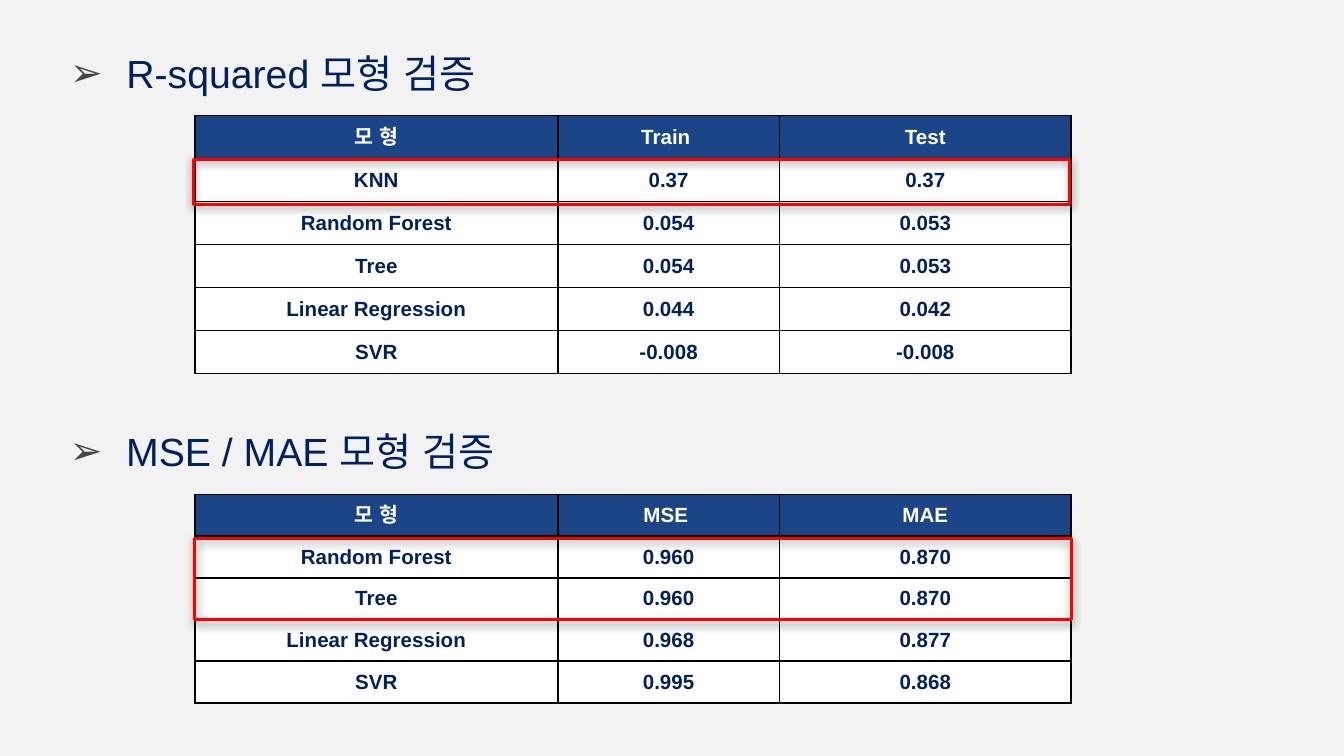
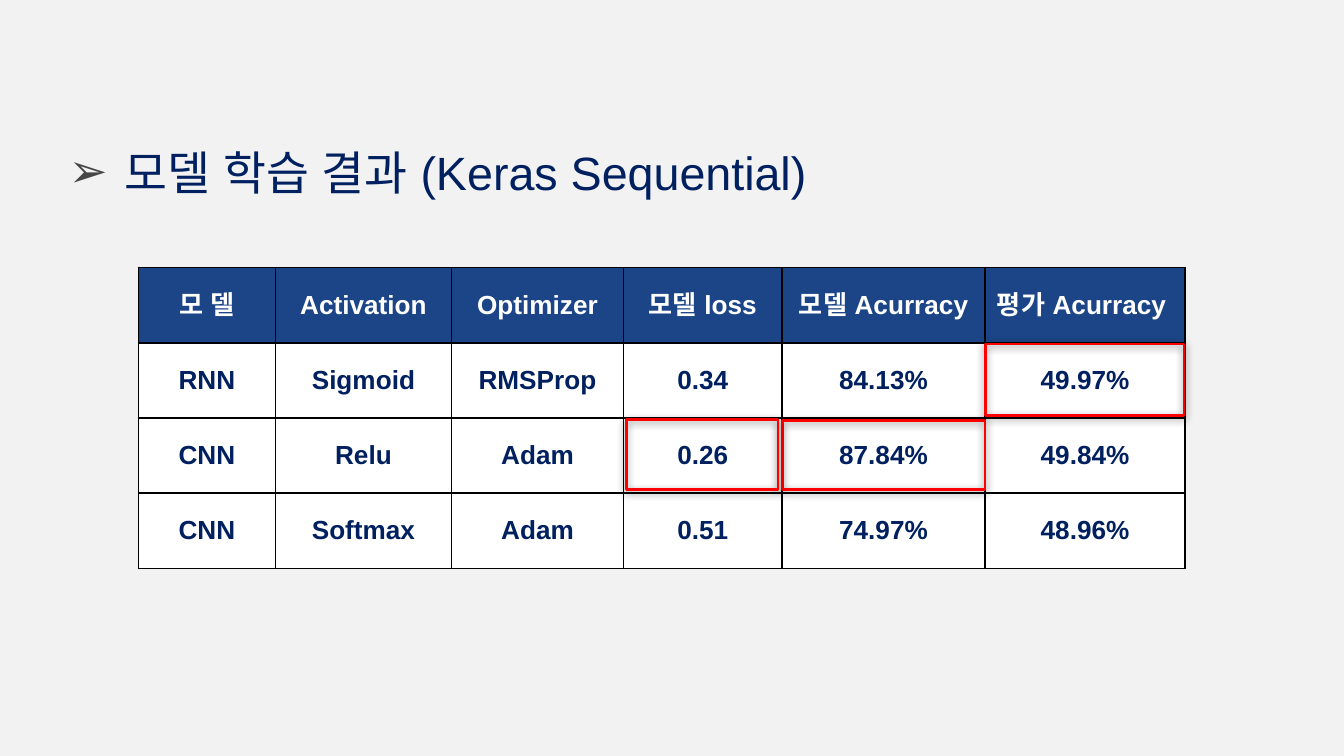
from dataclasses import dataclass

import pptx
import pptx.dml.color
import pptx.enum.shapes
import pptx.enum.text
import pptx.oxml
import pptx.oxml.ns
import pptx.util
from pptx.util import Inches

RGBColor = pptx.dml.color.RGBColor

# Shared style
FONT = "Arial"
GROUND = RGBColor(0xF2, 0xF2, 0xF2)
NAVY = RGBColor(0x00, 0x20, 0x60)
HEADER_BLUE = RGBColor(0x1C, 0x45, 0x87)
WHITE = RGBColor(0xFF, 0xFF, 0xFF)
BLACK = RGBColor(0x00, 0x00, 0x00)
BULLET_GREY = RGBColor(0x46, 0x46, 0x46)
RED = RGBColor(0xFF, 0x00, 0x00)

SLIDE_WIDTH = Inches(10)
SLIDE_HEIGHT = SLIDE_WIDTH * 9 // 16
HEADING_SIZE = (9.32, 0.66)
HEADING_INSET = Inches(0.1)
CELL_INSET = Inches(0.07)
NAMESPACE = pptx.oxml.ns.nsdecls("a")


@dataclass
class Heading:
    text: str
    left: float
    top: float
    size: int


@dataclass
class ResultTable:
    left: float
    top: float
    columns: list[float]
    row_height: float
    size: int
    rows: list[list[str]]


@dataclass
class Highlight:
    left: float
    top: float
    width: float
    height: float


def add_span(para, text: str, size: int, color: RGBColor, bold: bool = False) -> None:
    span = para.add_run()
    span.text = text
    span.font.name = FONT
    span.font.size = pptx.util.Pt(size)
    span.font.bold = bold
    span.font.color.rgb = color
    # Same typeface for the Korean text
    span._r.get_or_add_rPr().append(
        pptx.oxml.parse_xml(f'<a:ea {NAMESPACE} typeface="{FONT}"/>'))


def set_insets(target, inset: int) -> None:
    target.margin_left = target.margin_right = inset
    target.margin_top = target.margin_bottom = inset


def set_arrow_bullet(para) -> None:
    properties = para._p.get_or_add_pPr()
    properties.set("marL", str(Inches(0.5)))
    properties.set("indent", str(Inches(-0.42)))
    for markup in (
        f'<a:buClr {NAMESPACE}><a:srgbClr val="{BULLET_GREY}"/></a:buClr>',
        f'<a:buFont {NAMESPACE} typeface="{FONT}"/>',
        f'<a:buChar {NAMESPACE} char="➢"/>',
    ):
        properties.append(pptx.oxml.parse_xml(markup))


def fill_heading(box, heading: Heading) -> None:
    box.left, box.top = Inches(heading.left), Inches(heading.top)
    box.width, box.height = (Inches(side) for side in HEADING_SIZE)
    frame = box.text_frame
    frame.word_wrap = True
    frame.auto_size = pptx.enum.text.MSO_AUTO_SIZE.NONE
    frame.vertical_anchor = pptx.enum.text.MSO_ANCHOR.TOP
    set_insets(frame, HEADING_INSET)
    para = frame.paragraphs[0]
    para.alignment = pptx.enum.text.PP_ALIGN.LEFT
    set_arrow_bullet(para)
    add_span(para, heading.text, heading.size, NAVY)


def add_heading_box(page, heading: Heading) -> None:
    fill_heading(page.shapes.add_textbox(0, 0, 0, 0), heading)


def set_borders(cell) -> None:
    properties = cell._tc.get_or_add_tcPr()
    for side in ("lnL", "lnR", "lnT", "lnB"):
        properties.append(pptx.oxml.parse_xml(
            f'<a:{side} {NAMESPACE} w="{pptx.util.Pt(1)}"><a:solidFill>'
            f'<a:srgbClr val="{BLACK}"/></a:solidFill></a:{side}>'))


def add_result_table(page, result: ResultTable) -> None:
    row_count, column_count = len(result.rows), len(result.columns)
    table = page.shapes.add_table(
        row_count, column_count, Inches(result.left), Inches(result.top),
        Inches(sum(result.columns)), Inches(result.row_height * row_count)).table
    table.first_row = table.horz_banding = False
    for column, width in zip(table.columns, result.columns):
        column.width = Inches(width)
    for row_index, texts in enumerate(result.rows):
        table.rows[row_index].height = Inches(result.row_height)
        is_header = row_index == 0
        for column_index, text in enumerate(texts):
            cell = table.cell(row_index, column_index)
            set_borders(cell)
            cell.fill.solid()
            cell.fill.fore_color.rgb = HEADER_BLUE if is_header else WHITE
            set_insets(cell, CELL_INSET)
            cell.vertical_anchor = pptx.enum.text.MSO_ANCHOR.MIDDLE
            para = cell.text_frame.paragraphs[0]
            para.alignment = pptx.enum.text.PP_ALIGN.CENTER
            add_span(para, text, result.size, WHITE if is_header else NAVY, bold=True)


def add_highlight(page, mark: Highlight) -> None:
    frame = page.shapes.add_shape(
        pptx.enum.shapes.MSO_SHAPE.RECTANGLE, Inches(mark.left), Inches(mark.top),
        Inches(mark.width), Inches(mark.height))
    frame.fill.background()
    frame.line.color.rgb = RED
    frame.line.width = pptx.util.Pt(1.5)
    # Soft shadow straight below
    frame.shadow.inherit = False
    effects = frame._element.spPr.find(pptx.oxml.ns.qn("a:effectLst"))
    effects.append(pptx.oxml.parse_xml(
        f'<a:outerShdw {NAMESPACE} blurRad="{pptx.util.Pt(4.5)}" '
        f'dist="{pptx.util.Pt(1.5)}" dir="5400000" algn="bl" rotWithShape="0">'
        f'<a:srgbClr val="{BLACK}"><a:alpha val="50000"/></a:srgbClr></a:outerShdw>'))


def add_page(deck, title: Heading):
    page = deck.slides.add_slide(deck.slide_layouts.get_by_name("Title Only"))
    fill_heading(page.shapes.title, title)
    return page


# Slide content
SCORE_LEFT = 1.45
SCORE_COLUMNS = [2.7, 1.65, 2.17]
SCORE_WIDTH = sum(SCORE_COLUMNS)

R_SQUARED = ResultTable(SCORE_LEFT, 0.86, SCORE_COLUMNS, 0.32, 11, [
    ["모 형", "Train ", "Test"],
    ["KNN", "0.37", "0.37"],
    ["Random Forest", "0.054", "0.053"],
    ["Tree", "0.054", "0.053"],
    ["Linear Regression", "0.044", "0.042"],
    ["SVR", "-0.008", "-0.008"],
])

ERRORS = ResultTable(SCORE_LEFT, 3.68, SCORE_COLUMNS, 0.31, 11, [
    ["모 형", "MSE ", "MAE"],
    ["Random Forest", "0.960", "0.870"],
    ["Tree", "0.960", "0.870"],
    ["Linear Regression", "0.968", "0.877"],
    ["SVR", "0.995", "0.868"],
])

TRAINING = ResultTable(1.03, 1.99, [1.02, 1.31, 1.28, 1.18, 1.51, 1.49], 0.56, 14, [
    ["모 델", "Activation", "Optimizer", "모델 loss", "모델 Acurracy", "평가 Acurracy "],
    ["RNN", "Sigmoid", "RMSProp", "0.34", "84.13%", "49.97%"],
    ["CNN", "Relu", "Adam", "0.26", "87.84%", "49.84%"],
    ["CNN", "Softmax", "Adam", "0.51", "74.97%", "48.96%"],
])

BEST_TRAINING = [
    Highlight(5.82, 3.13, 1.51, 0.51),
    Highlight(4.66, 3.12, 1.13, 0.52),
    Highlight(7.33, 2.56, 1.48, 0.53),
]


def main() -> None:
    deck = pptx.Presentation()
    deck.slide_width, deck.slide_height = SLIDE_WIDTH, SLIDE_HEIGHT
    ground = deck.slide_master.background.fill
    ground.solid()
    ground.fore_color.rgb = GROUND

    # Model validation scores
    page = add_page(deck, Heading("R-squared 모형 검증", 0.34, 0.27, 21))
    add_result_table(page, R_SQUARED)
    add_highlight(page, Highlight(1.44, 1.19, SCORE_WIDTH, 0.33))
    add_result_table(page, ERRORS)
    add_heading_box(page, Heading("MSE / MAE 모형 검증", 0.34, 3.08, 21))
    add_highlight(page, Highlight(SCORE_LEFT, 4.01, SCORE_WIDTH, 0.6))

    # Neural network training results
    page = add_page(deck, Heading("모델 학습 결과 (Keras Sequential)", 0.33, 0.97, 25))
    add_result_table(page, TRAINING)
    for mark in BEST_TRAINING:
        add_highlight(page, mark)

    deck.save("out.pptx")


if __name__ == "__main__":
    main()
